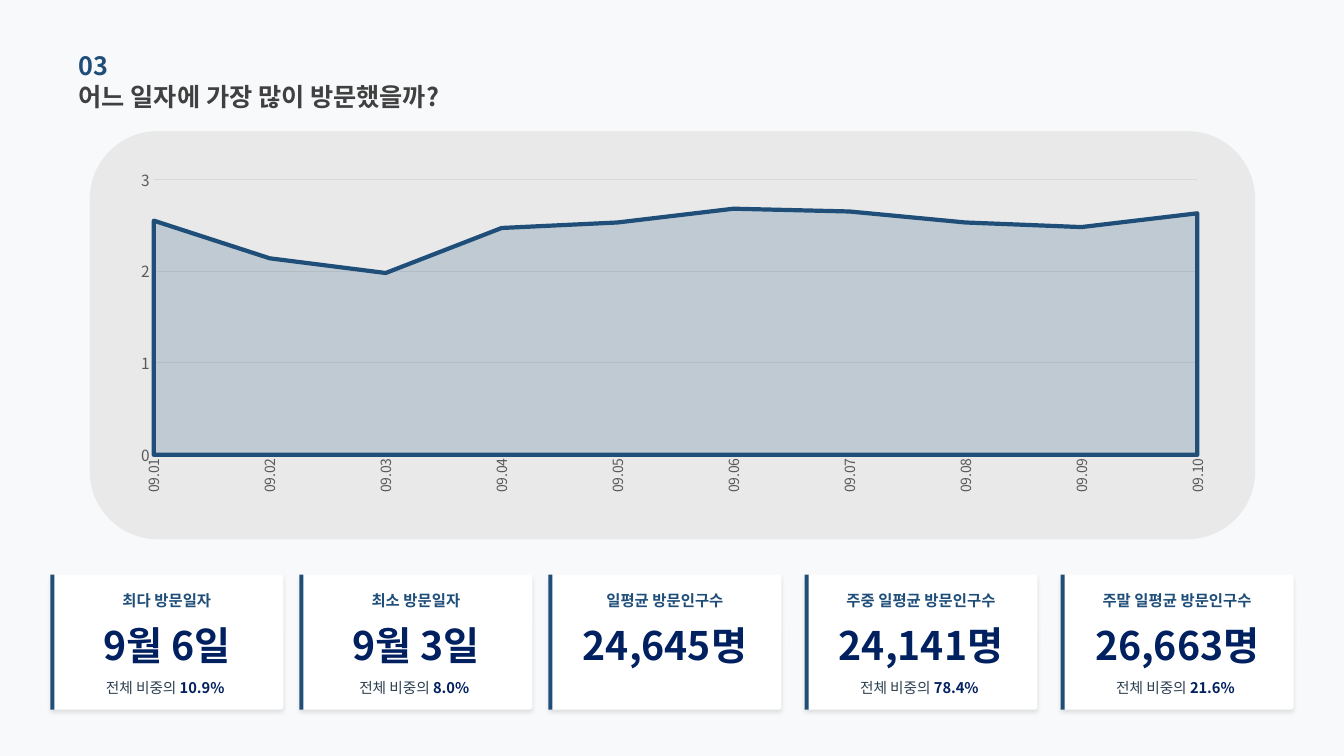
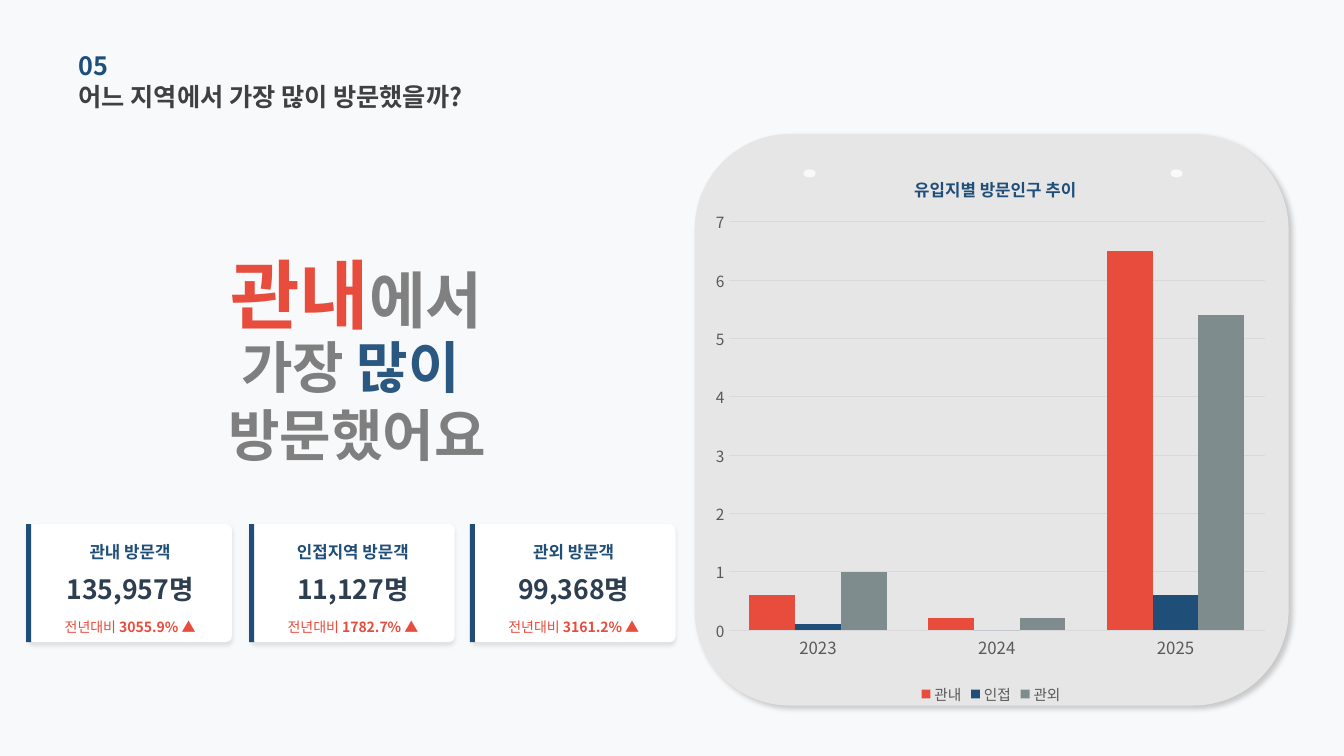
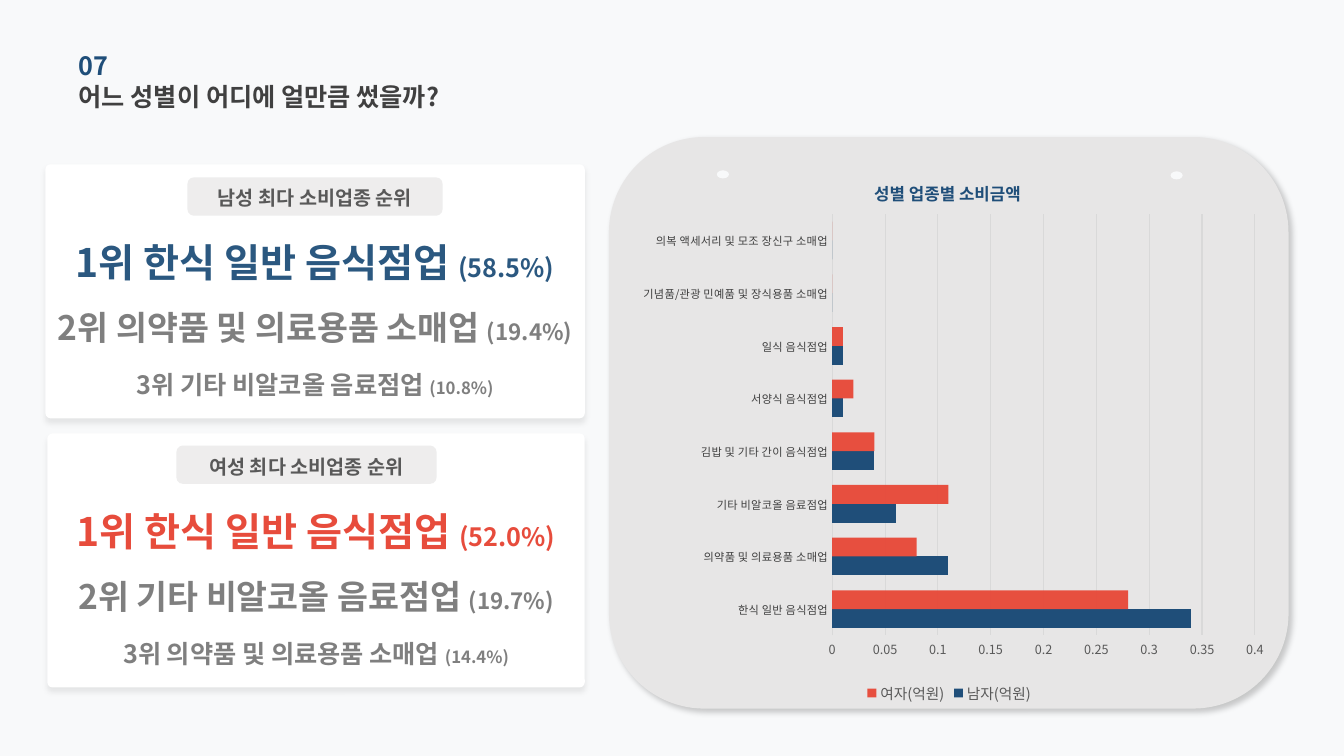
from dataclasses import dataclass

from lxml import etree
from pptx import Presentation
from pptx import util as u
from pptx.chart.data import CategoryChartData
from pptx.dml.color import RGBColor
from pptx.enum import chart as charts, shapes, text
from pptx.oxml.ns import qn

PX = 9144  # one hundredth of an inch


@dataclass(frozen=True)
class Theme:
    font: str = "Noto Sans CJK KR"
    ground: str = "F8F9FA"
    white: str = "FFFFFF"
    panel: str = "E7E6E6"
    mist: str = "D0CECE"
    grid: str = "D9D9D9"
    navy: str = "1F4E79"
    blue: str = "2B5880"
    red: str = "E74C3C"
    teal_gray: str = "7F8C8D"
    gray: str = "7F7F7F"
    axis: str = "595959"
    dark: str = "404040"
    # Type styles: size, colour, bold
    heading: tuple = (18, "404040", True)
    number: tuple = (18, "1F4E79", True)
    day_caption: tuple = (11, "1F4E79", True)
    day_value: tuple = (28, "002060", True)
    day_note: tuple = (10.5, "2C3E50", False)
    day_share: tuple = (10.5, "002060", True)
    area_caption: tuple = (12, "1F4E79", True)
    area_value: tuple = (19, "2C3E50", True)
    area_note: tuple = (10, "E74C3C", False)
    area_growth: tuple = (10, "E74C3C", True)
    claim_big: tuple = (54, "E74C3C", True)
    claim_mid: tuple = (44, "808080", True)
    claim: tuple = (40, "7F7F7F", True)
    claim_blue: tuple = (40, "2B5880", True)
    badge: tuple = (14, "595959", True)
    rank_sizes: tuple = ((28, 18), (24, 16), (18, 12))
    # Shadows: opacity %, blur pt, distance pt, angle
    card_shadow: tuple = (10, 3, 2, 90)
    panel_shadow: tuple = (20, 4, 3, 45)
    rank_shadow: tuple = (8, 4, 3, 90)


T = Theme()
ROUND, RECT, OVAL = (shapes.MSO_SHAPE.ROUNDED_RECTANGLE, shapes.MSO_SHAPE.RECTANGLE,
                     shapes.MSO_SHAPE.OVAL)


def draw(parent, kind, box, colour, radius=None, alpha=None, shadow=None):
    shape = parent.add_shape(kind, *[v * PX for v in box])
    if radius is not None:
        shape.adjustments[0] = radius
    shape.fill.solid()
    shape.fill.fore_color.rgb = RGBColor.from_string(colour)
    shape.line.fill.background()
    shape.shadow.inherit = False
    properties = shape.element.spPr
    if alpha:
        tint = next(properties.iter(qn("a:srgbClr")))
        etree.SubElement(tint, qn("a:alpha"), val=str(alpha * 1000))
    if shadow:
        opacity, blur, distance, angle = shadow
        outer = etree.SubElement(properties.find(qn("a:effectLst")), qn("a:outerShdw"),
                                 blurRad=str(u.Pt(blur)), dist=str(u.Pt(distance)),
                                 dir=str(angle * 60000), algn="ctr", rotWithShape="0")
        tint = etree.SubElement(outer, qn("a:srgbClr"), val="000000")
        etree.SubElement(tint, qn("a:alpha"), val=str(opacity * 1000))


def write(parent, box, *lines, align=text.PP_ALIGN.CENTER):
    """Each line is a list of (wording, style) runs."""
    frame = parent.add_textbox(*[v * PX for v in box]).text_frame
    frame.word_wrap = True
    frame.vertical_anchor = text.MSO_ANCHOR.MIDDLE
    frame.margin_left = frame.margin_right = frame.margin_top = frame.margin_bottom = 0
    for index, line in enumerate(lines):
        paragraph = frame.add_paragraph() if index else frame.paragraphs[0]
        paragraph.alignment = align
        paragraph.font.name = T.font
        for wording, (size, colour, bold) in line:
            run = paragraph.add_run()
            run.text = wording
            font = paragraph.font if len(line) == 1 else run.font
            font.size, font.bold = u.Pt(size), bold
            font.color.rgb = RGBColor.from_string(colour)


# Slides with numbered headings
deck = Presentation()
deck.slide_width, deck.slide_height = u.Inches(13.33), u.Inches(7.5)
slides = []
for number, heading in [("03", "어느 일자에 가장 많이 방문했을까?"),
                        ("05", "어느 지역에서 가장 많이 방문했을까?"),
                        ("07", "어느 성별이 어디에 얼만큼 썼을까?")]:
    slide = deck.slides.add_slide(deck.slide_layouts[6])
    slide.background.fill.solid()
    slide.background.fill.fore_color.rgb = RGBColor.from_string(T.ground)
    write(slide.shapes, (78, 75, 528, 41), [(heading, T.heading)], align=text.PP_ALIGN.LEFT)
    write(slide.shapes, (78, 44, 452, 41), [(number, T.number)], align=text.PP_ALIGN.LEFT)
    slides.append(slide)
days, regions, spending = [slide.shapes for slide in slides]

# Chart panels, two of them with pin holes
draw(days, ROUND, (89, 130, 1156, 405), T.mist, alpha=36)
for parent, box, holes in [(regions, (689, 133, 589, 567), [(797, 168), (1161, 168)]),
                           (spending, (604, 136, 674, 567), [(711, 169), (1161, 170)])]:
    draw(parent, ROUND, box, T.panel, shadow=T.panel_shadow)
    for left, top in holes:
        draw(parent, OVAL, (left, top, 12, 8), T.ground)

# Figure cards: left edge, then runs for caption, value and note
day_cards = [
    (left, [(caption, T.day_caption)], [(value, T.day_value)],
     [("전체 비중의 ", T.day_note), (share, T.day_share)] if share else None)
    for left, caption, value, share in [
        (50, "최다 방문일자", "9월 6일", "10.9% "),
        (297, "최소 방문일자", "9월 3일", "8.0% "),
        (544, "일평균 방문인구수", "24,645명", None),
        (798, "주중 일평균 방문인구수", "24,141명", "78.4% "),
        (1052, "주말 일평균 방문인구수", "26,663명", "21.6% ")]]
region_cards = [
    (left, [(caption, T.area_caption)], [(value, T.area_value)],
     [("전년대비 ", T.area_note), (growth, T.area_growth)])
    for left, caption, value, growth in [
        (28, "관내 방문객", "135,957명", "3055.9% ▲"),
        (249, "인접지역 방문객", "11,127명", "1782.7% ▲"),
        (468, "관외 방문객", "99,368명", "3161.2% ▲")]]
for parent, cards, top, width, height, radius, bar_shift, bar_width, rows in [
        (days, day_cards, 570, 231, 134, 0.02, 0, 4, [(15, 22), (51, 38), (102, 21)]),
        (regions, region_cards, 520, 202, 117, 0.05, -2, 5, [(16, 22), (47, 34), (92, 20)])]:
    for left, *contents in cards:
        draw(parent, ROUND, (left, top, width, height), T.white, radius, shadow=T.card_shadow)
        draw(parent, RECT, (left + bar_shift, top, bar_width, height), T.navy)
        for (offset, row_height), runs in zip(rows, contents):
            if runs:
                write(parent, (left, top + offset, width, row_height), runs)

# Key message about regions
write(regions, (139, 267, 429, 48), [("관내", T.claim_big), ("에서", T.claim_mid)])
write(regions, (78, 355, 552, 84),
      [("가장", T.claim), (" 많이 ", T.claim_blue)], [("방문했어요", T.claim)])

# Spending rankings
rank_rows = [(73, 48), (119, 84), (176, 84)]
for box, badge, title, lead, ranks in [
        ((45, 163, 535, 252), (186, 176, 253, 38), "남성 최다 소비업종 순위", T.blue,
         [("1위 한식 일반 음식점업 ", "(58.5%)"), ("2위 의약품 및 의료용품 소매업 ", "(19.4%)"),
          ("3위 기타 비알코올 음료점업 ", "(10.8%)")]),
        ((47, 430, 533, 252), (175, 442, 258, 38), "여성 최다 소비업종 순위", T.red,
         [("1위 한식 일반 음식점업 ", "(52.0%)"), ("2위 기타 비알코올 음료점업 ", "(19.7%)"),
          ("3위 의약품 및 의료용품 소매업 ", "(14.4%)")])]:
    ranking = spending.add_group_shape().shapes
    left, top, width, height = box
    draw(ranking, ROUND, box, T.white, 0.02, shadow=T.rank_shadow)
    for (offset, row_height), (size, share_size), colour, (name, share) in zip(
            rank_rows, T.rank_sizes, (lead, T.gray, T.gray), ranks):
        write(ranking, (left - 20, top + offset, width + 40, row_height),
              [(name, (size, colour, True)), (share, (share_size, colour, True))])
    draw(ranking, ROUND, badge, T.mist, alpha=36)
    write(ranking, (*badge[:3], 41), [(title, T.badge)])

# Charts: layouts are fractions of the chart frame
KIND = charts.XL_CHART_TYPE
for (parent, kind, box, title, title_spot, plot_spot, gap, top_value, step,
     (category_size, category_colour), value_size, categories, series_list) in [
        (days, KIND.AREA, (108, 129, 1113, 408), None, None, (0.04, 0.12, 0.93, 0.67),
         None, 3, 1, (10, T.axis), 11, [f"09.{day:02}" for day in range(1, 11)],
         [("Series 1", T.navy, 20,
           [2.55, 2.14, 1.98, 2.47, 2.53, 2.68, 2.65, 2.53, 2.48, 2.63])]),
        (regions, KIND.COLUMN_CLUSTERED, (700, 148, 566, 555), "유입지별 방문인구 추이",
         (0.36, 0.04), (0.04, 0.13, 0.94, 0.73), 90, 7, 1, (12, T.axis), 11,
         ["2023", "2024", "2025"],
         [("관내", T.red, 100, [0.6, 0.2, 6.5]),
          ("인접", T.navy, 100, [0.1, 0, 0.6]),
          ("관외", T.teal_gray, 100, [1, 0.2, 5.4])]),
        (spending, KIND.BAR_CLUSTERED, (619, 152, 645, 550), "성별 업종별 소비금액",
         (0.38, 0.04), (0.32, 0.11, 0.65, 0.76), 80, 0.4, 0.05, (8, T.dark), 9,
         ["한식 일반 음식점업", "의약품 및 의료용품 소매업", "기타 비알코올 음료점업",
          "김밥 및 기타 간이 음식점업", "서양식 음식점업", "일식 음식점업",
          "기념품/관광 민예품 및 장식용품 소매업", "의복 액세서리 및 모조 장신구 소매업"],
         [("남자(억원)", T.navy, 100, [0.34, 0.11, 0.06, 0.04, 0.01, 0.01, 0, 0]),
          ("여자(억원)", T.red, 98, [0.28, 0.08, 0.11, 0.04, 0.02, 0.01, 0, 0])])]:
    data = CategoryChartData()
    data.categories = categories
    for name, _, _, values in series_list:
        data.add_series(name, values)
    chart = parent.add_chart(kind, *[v * PX for v in box], data).chart
    chart.font.name, chart.font.size = T.font, u.Pt(10)
    plot = chart.plots[0]
    plot.vary_by_categories = False
    plot_area = next(chart.element.iter(qn("c:plotArea")))
    for series, (_, colour, alpha, _), drawn in zip(
            plot.series, series_list, plot_area.iter(qn("c:ser"))):
        series.format.fill.solid()
        series.format.fill.fore_color.rgb = RGBColor.from_string(colour)
        tint = next(drawn.iter(qn("a:srgbClr")))
        etree.SubElement(tint, qn("a:alpha"), val=str(alpha * 1000))

    # Axes
    across, up = chart.category_axis, chart.value_axis
    across.has_major_gridlines = False
    up.has_major_gridlines = True
    up.minimum_scale, up.maximum_scale, up.major_unit = 0, top_value, step
    for line in (across.format.line, up.major_gridlines.format.line):
        line.color.rgb = RGBColor.from_string(T.grid)
        line.width = u.Pt(0.75)
    up.format.line.fill.background()
    labels = [(across.tick_labels.font, category_size, category_colour),
              (up.tick_labels.font, value_size, T.axis)]
    for axis in (across, up):
        axis.major_tick_mark = axis.minor_tick_mark = charts.XL_TICK_MARK.NONE

    # Legend and title, or the outline and upright dates of the area chart
    chart.has_legend = chart.has_title = bool(title)
    spots = [(plot_area, plot_spot)]
    if title:
        plot.gap_width, plot.overlap = gap, 0
        chart.legend.position = charts.XL_LEGEND_POSITION.BOTTOM
        chart.legend.include_in_layout = False
        labels.append((chart.legend.font, 10.5, T.axis))
        heading = chart.chart_title.text_frame.paragraphs[0]
        heading.text = title
        heading.font.bold = True
        labels.append((heading.font, 12, T.navy))
        spots.append((next(chart.element.iter(qn("c:title"))), title_spot))
    else:
        outline = plot.series[0].format.line
        outline.color.rgb = RGBColor.from_string(T.navy)
        outline.width = u.Pt(3)
        dates = next(plot_area.iter(qn("c:catAx"), qn("c:dateAx")))
        next(dates.iter(qn("a:bodyPr"))).set("rot", "-5400000")
        scale = plot_area.find(qn("c:valAx"))
        for crossing in scale.findall(qn("c:crossBetween")):
            scale.remove(crossing)
        crossing = etree.Element(qn("c:crossBetween"), val="midCat")
        scale.find(qn("c:crosses")).addnext(crossing)
    for font, size, colour in labels:
        font.name, font.size = T.font, u.Pt(size)
        font.color.rgb = RGBColor.from_string(colour)

    # Fixed places for the plot and the title
    for owner, spot in spots:
        for old in owner.findall(qn("c:layout")):
            owner.remove(old)
        layout = etree.Element(qn("c:layout"))
        manual = etree.SubElement(layout, qn("c:manualLayout"))
        if len(spot) == 4:
            etree.SubElement(manual, qn("c:layoutTarget"), val="inner")
        for side in "xy":
            etree.SubElement(manual, qn(f"c:{side}Mode"), val="edge")
        for side, fraction in zip("xywh", spot):
            etree.SubElement(manual, qn(f"c:{side}"), val=str(fraction))
        wording = owner.find(qn("c:tx"))
        if wording is None:
            owner.insert(0, layout)
        else:
            wording.addnext(layout)

# Korean text takes the same font as Latin text
roots = [slide.element for slide in slides]
roots += [item.chart.element for slide in slides for item in slide.shapes if item.has_chart]
for root in roots:
    for latin in list(root.iter(qn("a:latin"))):
        latin.addnext(etree.Element(qn("a:ea"), typeface=T.font))

deck.save("out.pptx")
